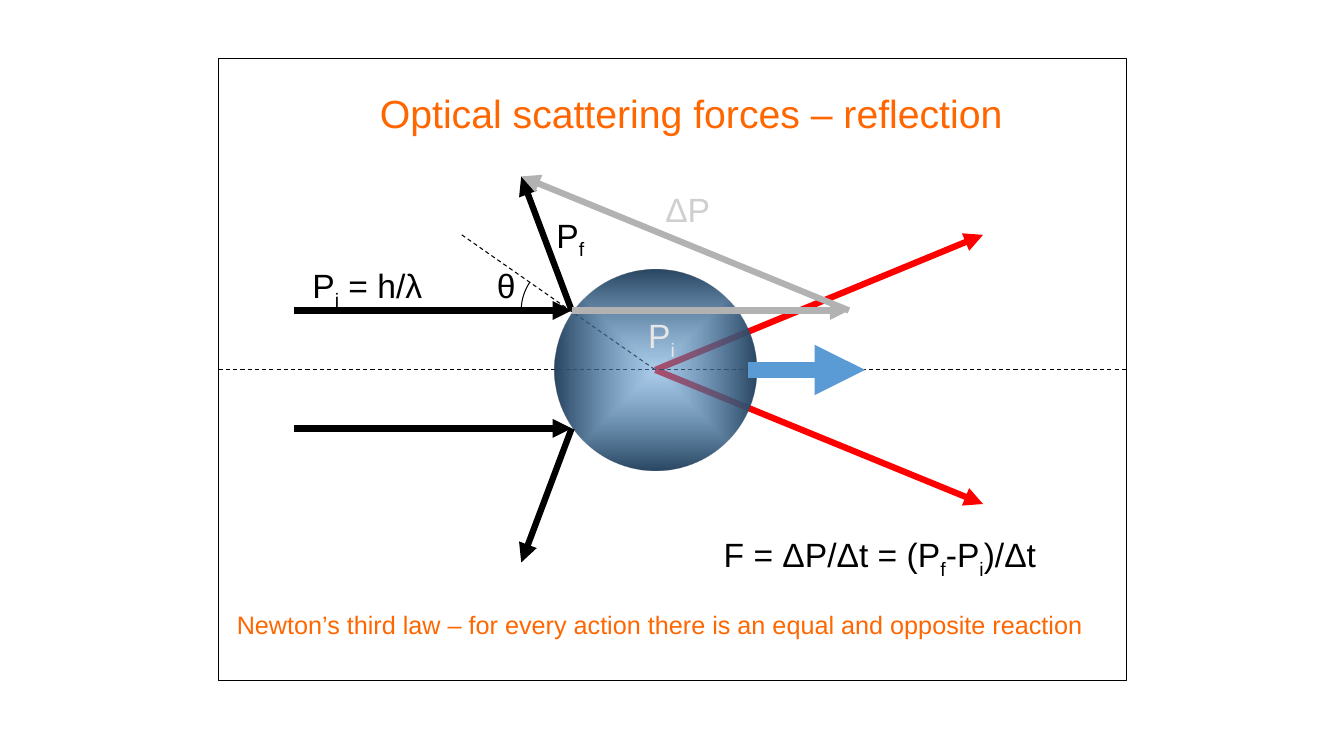
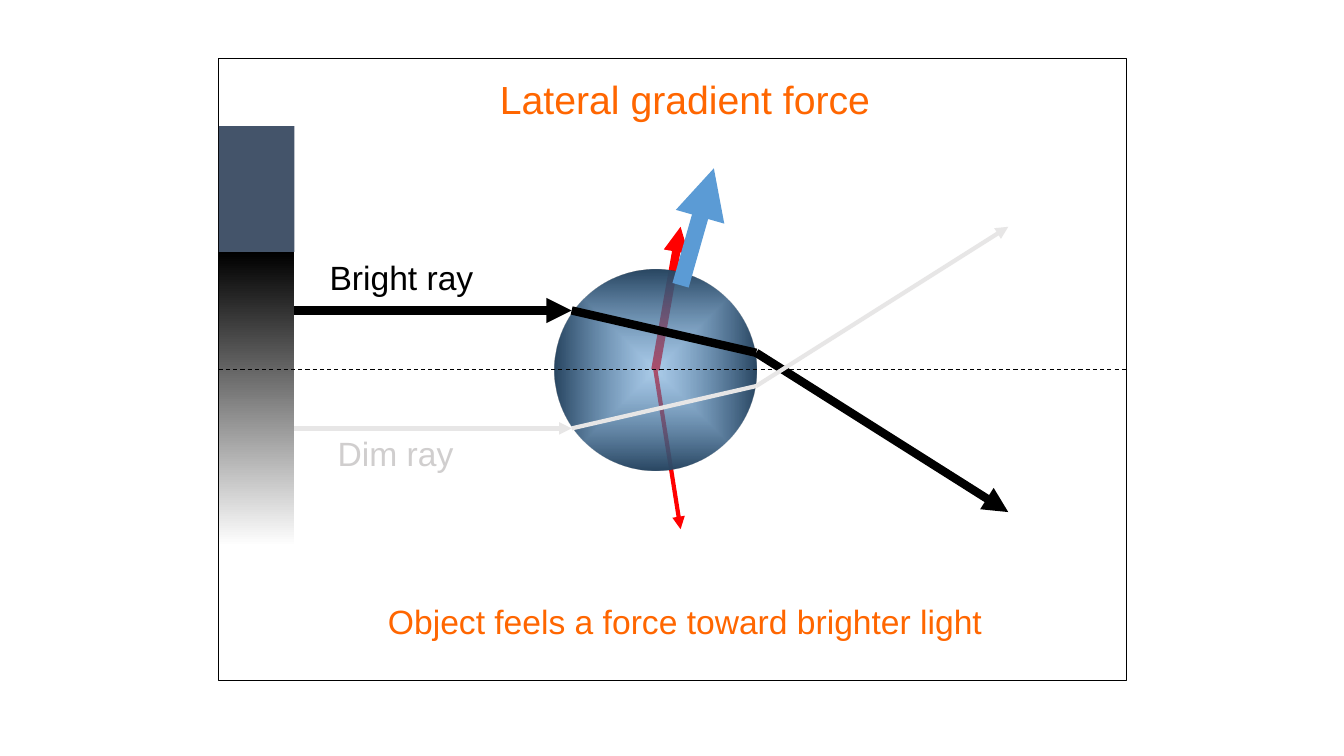
import math

from lxml import etree
from pptx import Presentation
from pptx import util as u
from pptx.dml.color import RGBColor
from pptx.enum import dml, shapes, text
from pptx.oxml.ns import qn

COLORS = {
    "title": "FF6600",
    "black": "000000",
    "white": "FFFFFF",
    "force": "FF0000",
    "net": "5B9BD5",
    "rim": "2A4762",
    "momentum": "B2B2B2",
    "pale": "E7E6E6",
    "pale_text": "D0CECE",
    "slate": "44546A",
}
FONT = "Arial"
FRAME = (2.17, 0.58, 9, 6.17)
CENTER = (6.5, 3.67)
UPPER, LOWER = 3.08, 4.25
RAY_START, RAY_HIT = 2.92, 5.67


def rgb(name):
    return RGBColor.from_string(COLORS[name])


class Diagram:
    def __init__(self, deck):
        self.slide = deck.slides.add_slide(deck.slide_layouts[6])
        self.frame = self.shape(shapes.MSO_SHAPE.RECTANGLE, FRAME, "white", "black")

    def shape(self, kind, box, fill=None, line=None):
        item = self.slide.shapes.add_shape(kind, *map(u.Inches, box))
        return self.style(item, fill, line)

    def style(self, item, fill=None, line=None):
        item.shadow.inherit = False
        if fill:
            item.fill.solid()
            item.fill.fore_color.rgb = rgb(fill)
        else:
            item.fill.background()
        if line:
            item.line.color.rgb = rgb(line)
            item.line.width = u.Pt(0.75)
        else:
            item.line.fill.background()
        return item

    def gradient(self, box, kind, first, last):
        item = self.shape(kind, box)
        item.fill.gradient()
        for stop, color in zip(item.fill.gradient_stops, (first, last)):
            stop.color.rgb = rgb(color)
        return item

    def sphere(self):
        x, y = CENTER
        ball = self.gradient((x - 1, y - 1, 2, 2), shapes.MSO_SHAPE.OVAL, "net", "rim")
        fill = ball.element.spPr.find(qn("a:gradFill"))
        inner = fill.find(".//" + qn("a:srgbClr"))
        etree.SubElement(inner, qn("a:alpha"), val="50000")
        fill.remove(fill.find(qn("a:lin")))
        radial = etree.SubElement(fill, qn("a:path"), {"path": "shape"})
        etree.SubElement(radial, qn("a:fillToRect"), dict.fromkeys("ltrb", "50000"))

    def angle_mark(self, vertex, radius, first, last, steps=12):
        x, y = vertex
        curve = []
        for step in range(steps + 1):
            turn = math.radians(first + (last - first) * step / steps)
            curve.append((u.Inches(x + radius * math.cos(turn)),
                          u.Inches(y + radius * math.sin(turn))))
        outline = self.slide.shapes.build_freeform(u.Inches(x), u.Inches(y))
        outline.move_to(*curve[0])
        outline.add_line_segments(curve[1:], close=False)
        self.style(outline.convert_to_shape(), line="black")

    def line(self, start, end, color="black", width=4.5, arrow=True, dashed=False):
        ray = self.slide.shapes.add_connector(
            shapes.MSO_CONNECTOR.STRAIGHT, *map(u.Inches, (*start, *end)))
        ray.line.color.rgb = rgb(color)
        ray.line.width = u.Pt(width)
        if dashed:
            ray.line.dash_style = dml.MSO_LINE.DASH
        properties = ray.element.spPr
        if arrow:
            etree.SubElement(properties.find(qn("a:ln")), qn("a:tailEnd"), type="triangle")
        etree.SubElement(properties, qn("a:effectLst"))
        return ray

    def axis(self):
        left, right = FRAME[0], FRAME[0] + FRAME[2]
        axis = self.line((left, CENTER[1]), (right, CENTER[1]),
                         width=0.75, arrow=False, dashed=True)
        axis.begin_connect(self.frame, 1)
        axis.end_connect(self.frame, 3)

    def label(self, box, *parts, color="black", size=24, wrap=False):
        frame = self.slide.shapes.add_textbox(*map(u.Inches, box)).text_frame
        frame.word_wrap = wrap
        frame.auto_size = text.MSO_AUTO_SIZE.SHAPE_TO_FIT_TEXT
        for index, part in enumerate(parts):
            run = frame.paragraphs[0].add_run()
            run.text = part
            run.font.name = FONT
            run.font.size = u.Pt(size)
            run.font.color.rgb = rgb(color)
            if index % 2:
                run.font._element.set("baseline", "-25000")

    def title(self, box, words):
        self.label(box, words, color="title", size=28)


def reflection(deck):
    d = Diagram(deck)
    d.title((3.67, 0.84, 6.39, 0.57), "Optical scattering forces – reflection")
    for y in (2.33, 5):
        d.line(CENTER, (9.75, y), "force")
    d.line((4.58, 2.33), CENTER, width=0.75, arrow=False, dashed=True)
    d.axis()
    d.sphere()
    for y, reflected in ((UPPER, 1.75), (LOWER, 5.58)):
        d.line((RAY_START, y), (RAY_HIT, y))
        d.line((RAY_HIT, y), (5.17, reflected))
    d.label((3, 2.58, 1.3, 0.5), "P", "i", " = h/λ")
    d.label((5.42, 2.08, 0.49, 0.5), "P", "f")
    d.line((8.42, UPPER), (5.17, 1.75), "momentum")
    d.label((6.5, 1.83, 0.66, 0.5), "ΔP", color="pale_text")
    d.label((2.25, 6, 8.92, 0.4),
            "Newton’s third law – for every action there is an equal and opposite reaction",
            color="title", size=18, wrap=True)
    d.label((7.08, 5.25, 3.4, 0.5), "F = ΔP/Δt = (P", "f", "-P", "i", ")/Δt")
    d.line((RAY_HIT, UPPER), (8.42, UPPER), "momentum")
    d.label((6.33, 3.08, 0.47, 0.5), "P", "i", color="pale")
    d.angle_mark((RAY_HIT, UPPER), 0.5, 214, 180)
    d.label((4.83, 2.58, 0.39, 0.5), "θ")
    d.line((7.42, CENTER[1]), (8.58, CENTER[1]), "net", 12)


def gradient_force(deck):
    d = Diagram(deck)
    d.title((4.86, 0.7, 3.89, 0.57), "Lateral gradient force")
    d.line(CENTER, (6.75, 5.25), "force", 3)
    d.line(CENTER, (6.75, 2.25), "force", 6)
    d.sphere()
    beam = d.gradient((FRAME[0], 2.5, 0.75, 2.92), shapes.MSO_SHAPE.RECTANGLE,
                      "black", "white")
    beam.fill.gradient_angle = 270
    d.axis()
    d.shape(shapes.MSO_SHAPE.RECTANGLE, (FRAME[0], 1.25, 0.75, 1.25), "slate")
    rays = (
        ("Bright ray", (3.17, 2.5, 1.63, 0.5), "black", "black", 6, UPPER, 3.5, 5.08),
        ("Dim ray", (3.25, 4.25, 1.37, 0.5), "pale_text", "pale", 3, LOWER, 3.83, 2.25),
    )
    for name, box, ink, color, width, entry, leave, end in rays:
        d.line((RAY_START, entry), (RAY_HIT, entry), color, width)
        d.line((RAY_HIT, entry), (7.5, leave), color, width, arrow=False)
        d.line((7.5, leave), (10, end), color, width)
        d.label(box, name, color=ink)
    d.line((6.75, 2.83), (7.08, 1.67), "net", 12)
    d.label((3.75, 5.91, 6.1, 0.5), "Object feels a force toward brighter light",
            color="title")


def main():
    deck = Presentation()
    deck.slide_width, deck.slide_height = u.Inches(13.33), u.Inches(7.5)
    reflection(deck)
    gradient_force(deck)
    deck.save("out.pptx")


if __name__ == "__main__":
    main()
